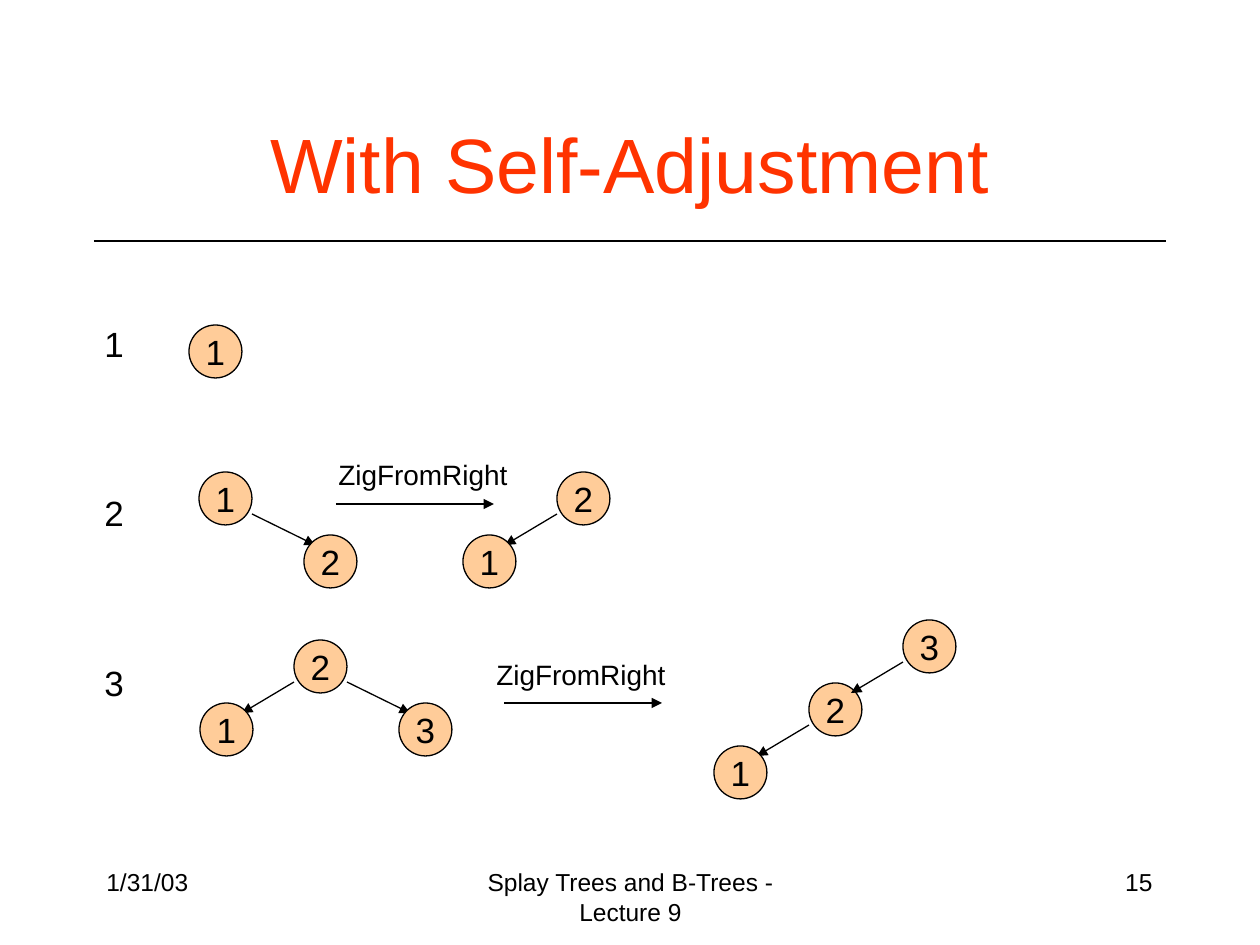
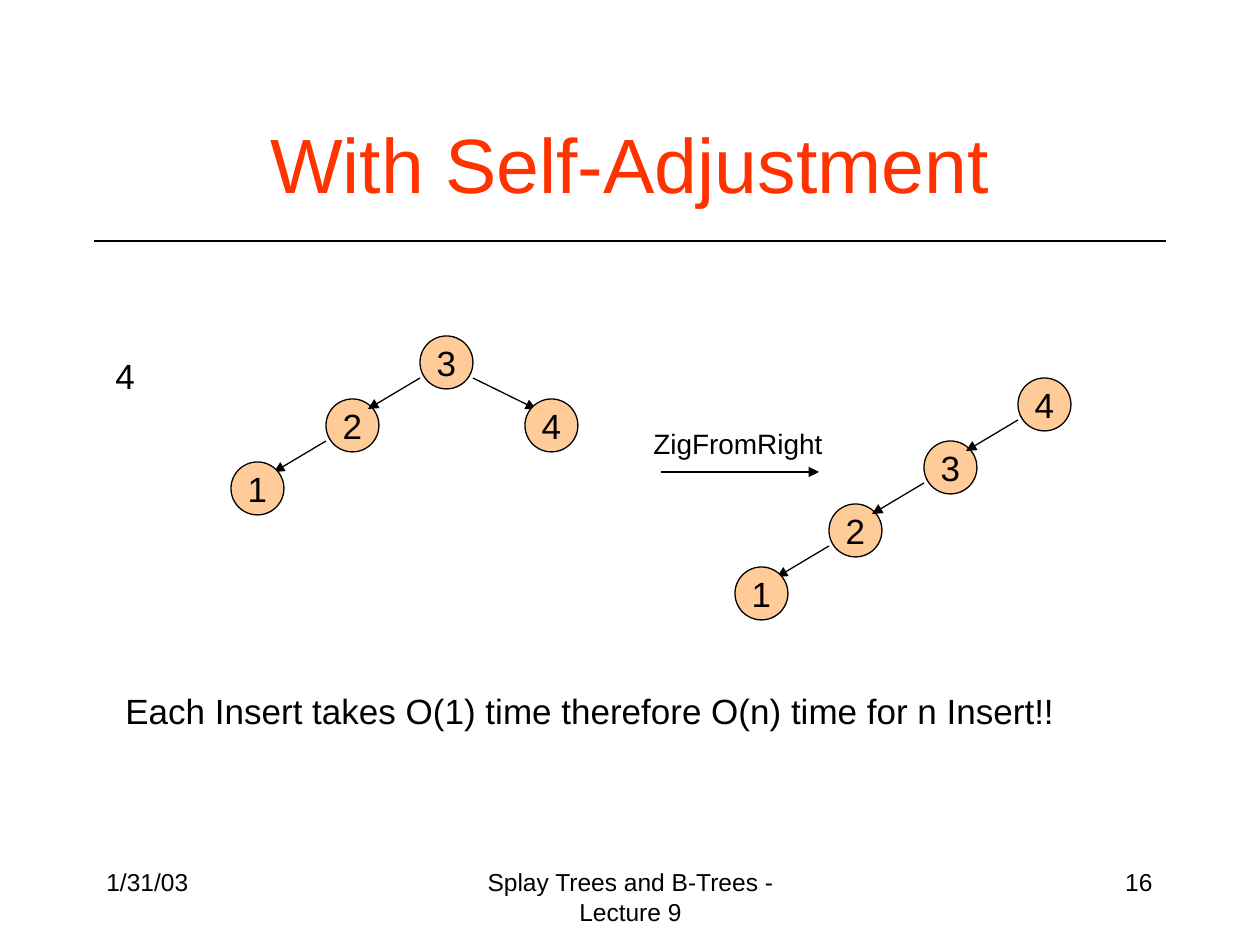
from pptx import Presentation
from pptx.dml.color import RGBColor
from pptx.enum.shapes import MSO_CONNECTOR as CONNECTOR, MSO_SHAPE as SHAPE
from pptx.enum.text import MSO_ANCHOR as ANCHOR, MSO_AUTO_SIZE as AUTO_SIZE, PP_ALIGN as ALIGN
from pptx.oxml.ns import qn
from pptx.util import Pt
from lxml import etree

PIXEL = 914400 / 126
COLORS = {"title": "FF3300", "ink": "000000", "node": "FFCC99"}
FONT = "Arial"
NODE = 53
LEVEL = 63

presentation = Presentation()
presentation.slide_width = round(1260 * PIXEL)
presentation.slide_height = round(945 * PIXEL)


def write(shape, lines, size, align=ALIGN.LEFT, color="ink", wrap=False, anchor=ANCHOR.TOP, gap=0):
    frame = shape.text_frame
    frame.auto_size = AUTO_SIZE.NONE
    frame.word_wrap = wrap
    frame.vertical_anchor = anchor
    for index, line in enumerate(lines):
        paragraph = frame.add_paragraph() if index else frame.paragraphs[0]
        paragraph.alignment = align
        paragraph.space_before = Pt(gap if index else 0)
        run = paragraph.add_run()
        run.text = line
        run.font.name = FONT
        run.font.size = Pt(size)
        run.font.color.rgb = RGBColor.from_string(COLORS[color])


def add_line(slide, points, arrow=True):
    line = slide.shapes.add_connector(CONNECTOR.STRAIGHT, *[round(value * PIXEL) for value in points])
    line.line.color.rgb = RGBColor.from_string(COLORS["ink"])
    line.line.width = Pt(0.74)
    properties = line._element.spPr
    if arrow:
        etree.SubElement(properties.find(qn("a:ln")), qn("a:tailEnd"), type="triangle")
    etree.SubElement(properties, qn("a:effectLst"))


slides = [
    {
        "number": "15",
        "labels": [(92, 316, 44, 391, ["1", "2", "3"], 20)],
        "rotations": [(336, 504), (504, 703)],
        "trees": [
            (189, 325, ["1"], None),
            (199, 472, ["1"], "2"),
            (557, 472, ["2", "1"], None),
            (294, 640, ["2", "1"], "3"),
            (903, 620, ["3", "2", "1"], None),
        ],
    },
    {
        "number": "16",
        "labels": [
            (103, 348, 44, 55, ["4"], 20),
            (113, 683, 955, 55, ["Each Insert takes O(1) time therefore O(n) time for n Insert!!"], 20),
        ],
        "rotations": [(661, 472)],
        "trees": [
            (420, 336, ["3", "2", "1"], "4"),
            (1018, 378, ["4", "3", "2", "1"], None),
        ],
    },
]
rotation_labels = {(336, 504): (326, 451), (504, 703): (484, 651), (661, 472): (641, 420)}

for content in slides:
    slide = presentation.slides.add_slide(presentation.slide_layouts[5])
    add_line(slide, (94, 241, 1166, 241), arrow=False)

    title = slide.shapes.title
    title.left, title.top, title.width, title.height = [round(value * PIXEL) for value in (94, 84, 1072, 158)]
    write(title, ["With Self-Adjustment"], 44, ALIGN.CENTER, "title", True, ANCHOR.MIDDLE)

    labels = list(content["labels"])
    for x, y in content["rotations"]:
        add_line(slide, (x, y, x + 158, y))
        labels.append((*rotation_labels[x, y], 194, 47, ["ZigFromRight"], 16))
    for *box, lines, size in labels:
        label = slide.shapes.add_textbox(*[round(value * PIXEL) for value in box])
        write(label, lines, size, gap=73)

    for x, y, spine, right_child in content["trees"]:
        nodes = [(value, x - 189 * level // 2, y + LEVEL * level) for level, value in enumerate(spine)]
        edges = [(left, top + 42, left - 52, top + 73) for _, left, top in nodes[:-1]]
        lower_edges, upper_edges = edges[-1:], edges[:-1]
        if right_child:
            nodes.append((right_child, x + 105, y + LEVEL))
            lower_edges.append((x + NODE, y + 42, x + 116, y + 73))
        for edge in lower_edges:
            add_line(slide, edge)
        for value, left, top in nodes:
            box = [round(length * PIXEL) for length in (left, top, NODE, NODE)]
            node = slide.shapes.add_shape(SHAPE.OVAL, *box)
            node.shadow.inherit = False
            node.fill.solid()
            node.fill.fore_color.rgb = RGBColor.from_string(COLORS["node"])
            node.line.color.rgb = RGBColor.from_string(COLORS["ink"])
            node.line.width = Pt(0.74)
            write(node, [value], 20, ALIGN.CENTER, anchor=ANCHOR.MIDDLE)
        for edge in upper_edges:
            add_line(slide, edge)

    for left, width, text, align in [
        (431, 399, "Splay Trees and B-Trees - Lecture 9", ALIGN.CENTER),
        (903, 262, content["number"], ALIGN.RIGHT),
        (94, 262, "1/31/03", ALIGN.LEFT),
    ]:
        footer = slide.shapes.add_textbox(*[round(value * PIXEL) for value in (left, 861, width, 63)])
        write(footer, [text], 14, align, wrap=True)

presentation.save("out.pptx")
